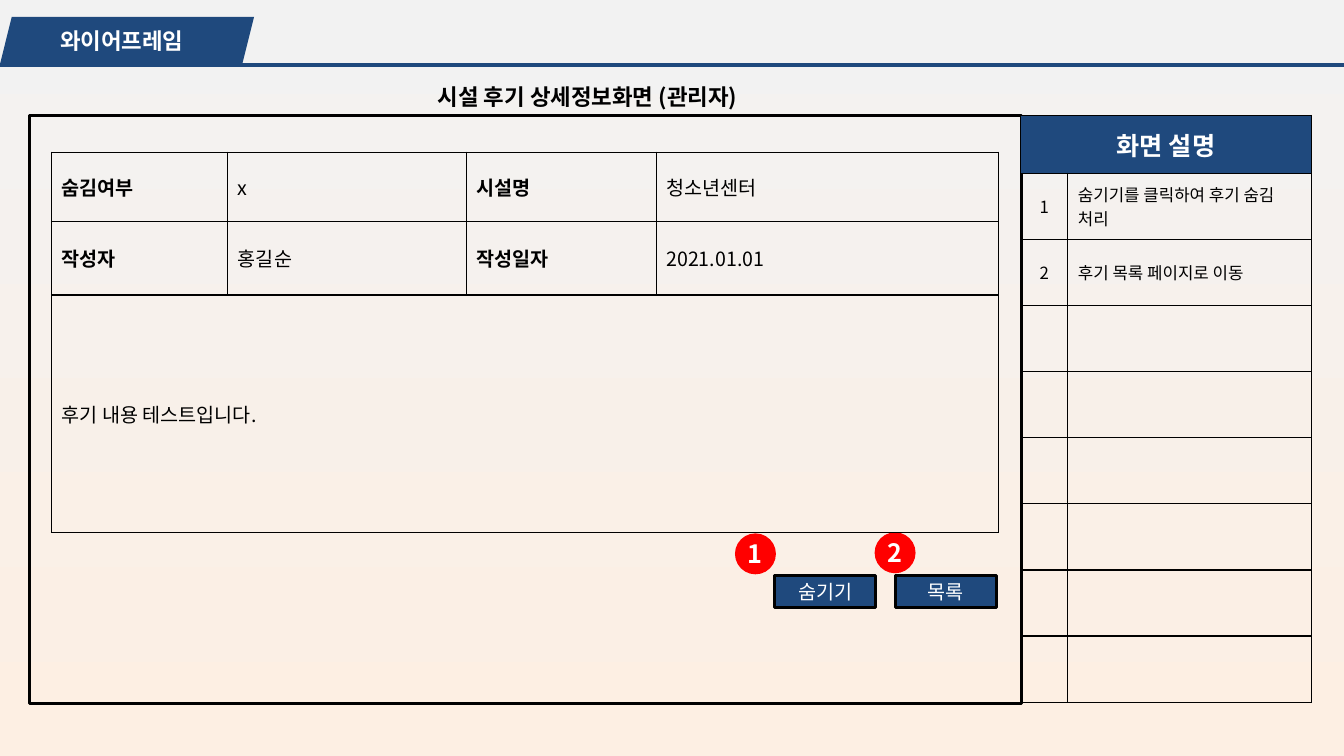
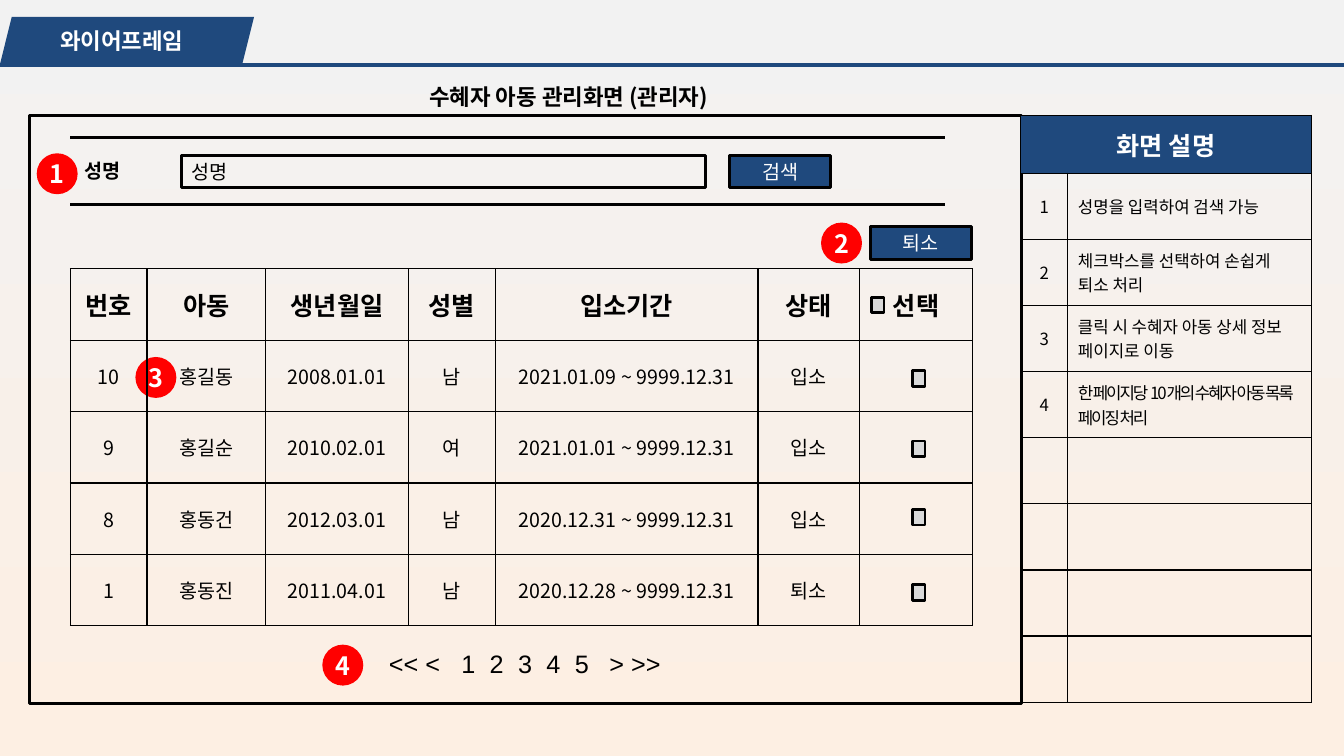
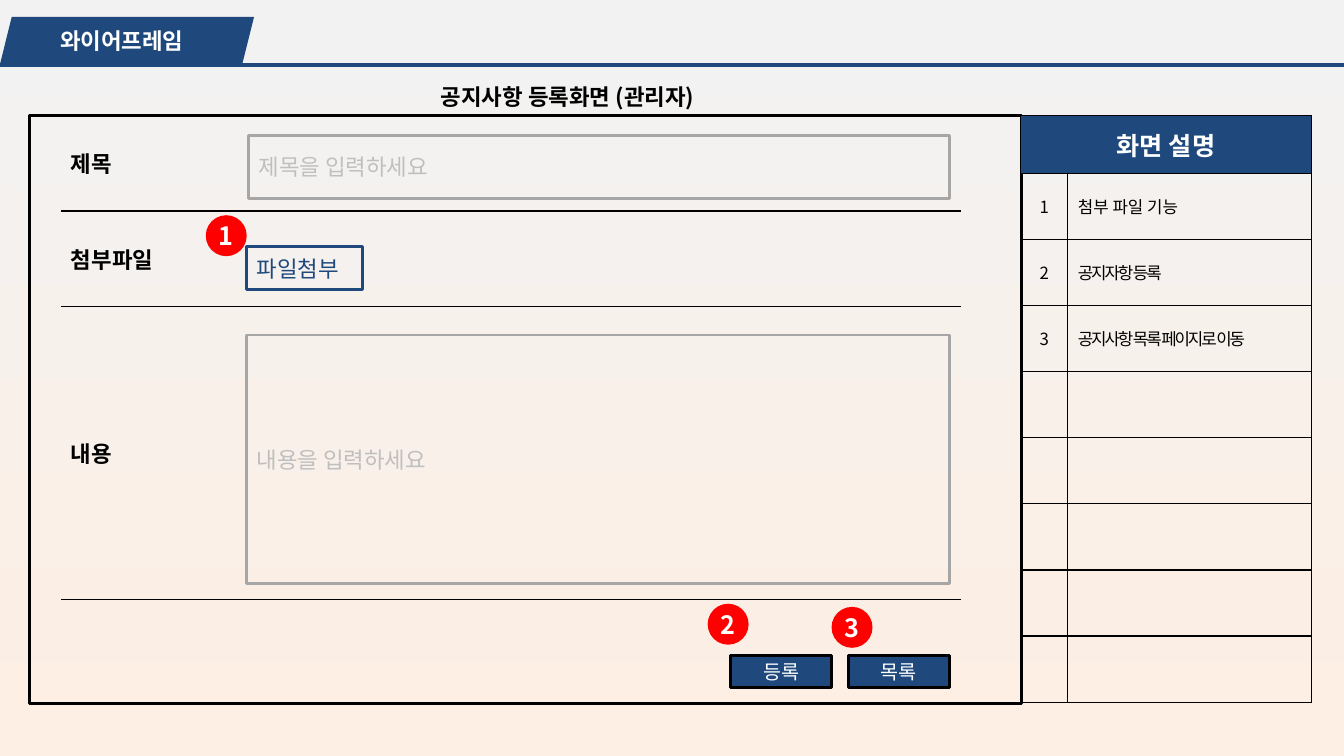
import pptx
import pptx.dml.color
import pptx.enum.shapes
import pptx.enum.text
import pptx.oxml
import pptx.oxml.ns
import pptx.util

SCALE = 9525  # EMU per px, 1280 x 720 px
FONT = "Noto Sans CJK KR"
COLORS = {
    "navy": "1F497D", "black": "000000", "white": "FFFFFF", "red": "FF0000",
    "border": "A6A6A6", "hint": "BFBFBF", "checkbox": "D9D9D9",
    "sky": "F2F2F2", "peach": "FDEFE3",
}
SHAPE = pptx.enum.shapes.MSO_SHAPE
ALIGN = pptx.enum.text.PP_ALIGN
MIDDLE = pptx.enum.text.MSO_ANCHOR.MIDDLE
qn = pptx.oxml.ns.qn


def px(length):
    return pptx.util.Emu(length * SCALE)


def rgb(name):
    return pptx.dml.color.RGBColor.from_string(COLORS[name])


def element(parent, tag, **attributes):
    child = parent.makeelement(qn(tag), attributes)
    parent.append(child)
    return child


class Wireframe:
    """Deck style plus the slide being drawn."""

    def __init__(self):
        self.deck = pptx.Presentation()
        self.deck.slide_width, self.deck.slide_height = px(1280), px(720)
        self.slide = None
        backdrop = self.deck.slide_master.background.fill
        backdrop.gradient()
        backdrop.gradient_angle = 270
        for stop, name in zip(backdrop.gradient_stops, ("sky", "peach")):
            stop.color.rgb = rgb(name)

    def set_text(self, frame, text, size=14, color="black", bold=False,
                 align=ALIGN.LEFT, font=FONT, tight=False, tabs=()):
        paragraph = frame.paragraphs[0]
        paragraph.text = text
        paragraph.alignment = align
        if tabs:
            stops = element(paragraph._p.get_or_add_pPr(), "a:tabLst")
            for position in tabs:
                element(stops, "a:tab", pos=str(px(position)), algn="l")
        for run in paragraph.runs:
            run.font.size = pptx.util.Pt(size)
            run.font.bold = bold
            run.font.name = font
            run.font.color.rgb = rgb(color)
            properties = run._r.get_or_add_rPr()
            element(properties, "a:ea", typeface=FONT)
            if tight:
                properties.set("spc", "-150")

    def shape(self, kind, x, y, width, height, fill=None, line=None,
              text="", **style):
        shape = self.slide.shapes.add_shape(
            kind, px(x), px(y), px(width), px(height))
        shape.shadow.inherit = False
        if fill:
            shape.fill.solid()
            shape.fill.fore_color.rgb = rgb(fill)
        else:
            shape.fill.background()
        if line:
            shape.line.color.rgb = rgb(line)
            shape.line.width = pptx.util.Pt(2)
        else:
            shape.line.fill.background()
        if text:
            shape.text_frame.word_wrap = False
            shape.text_frame.vertical_anchor = MIDDLE
            self.set_text(shape.text_frame, text, **style)

    def text(self, x, y, width, height, text, **style):
        frame = self.slide.shapes.add_textbox(
            px(x), px(y), px(width), px(height)).text_frame
        frame.word_wrap = True
        frame.vertical_anchor = MIDDLE
        self.set_text(frame, text, **style)

    def rule(self, x1, x2, y, width, color="black"):
        rule = self.slide.shapes.add_connector(
            pptx.enum.shapes.MSO_CONNECTOR.STRAIGHT,
            px(x1), px(y), px(x2), px(y))
        rule.line.color.rgb = rgb(color)
        rule.line.width = pptx.util.Pt(width)
        element(rule._element.spPr, "a:effectLst")

    def borders(self, cell, sides):
        properties = cell._tc.get_or_add_tcPr()
        for index, side in enumerate("LRTB"):
            line = properties.makeelement(qn("a:ln" + side), {"w": "12700"})
            properties.insert(index, line)
            if side in sides:
                fill = element(line, "a:solidFill")
                element(fill, "a:srgbClr", val=COLORS["black"])
            else:
                element(line, "a:noFill")

    def table(self, x, y, widths, heights, rows, style, sides="LRTB"):
        """style(row, column) gives the text style of a cell."""
        table = self.slide.shapes.add_table(
            len(heights), len(widths), px(x), px(y),
            px(sum(widths)), px(sum(heights))).table
        table.first_row = table.horz_banding = False
        for column, width in zip(table.columns, widths):
            column.width = px(width)
        for r, height in enumerate(heights):
            table.rows[r].height = px(height)
            texts = rows[r] if r < len(rows) else ()
            for c in range(len(widths)):
                cell = table.cell(r, c)
                cell.vertical_anchor = MIDDLE
                cell.fill.background()
                self.borders(cell, sides)
                if c < len(texts) and texts[c]:
                    self.set_text(cell.text_frame, texts[c], **style(r, c))
        return table

    def badge(self, number, x, y):
        self.shape(SHAPE.OVAL, x, y, 39, 39, "red", None, str(number),
                   size=18, color="white", bold=True, align=ALIGN.CENTER)

    def button(self, text, x, y):
        self.shape(SHAPE.RECTANGLE, x, y, 96, 31, "navy", "black", text,
                   color="white", align=ALIGN.CENTER)

    def field(self, text, x, y, width, height, line="border", color="hint",
              size=16):
        self.shape(SHAPE.RECTANGLE, x, y, width, height, None, line, text,
                   color=color, size=size)

    def checkbox(self, x, y):
        self.shape(SHAPE.RECTANGLE, x, y, 12, 15, "checkbox", "black")

    def legend(self, notes, tight_notes):
        def style(row, column):
            if row == 0:
                return dict(size=18, color="white", bold=True,
                            align=ALIGN.CENTER)
            if column == 0:
                return dict(size=12, align=ALIGN.CENTER)
            return dict(size=12, tight=row in tight_notes)

        rows = [("화면 설명",)]
        rows += [(str(n), note) for n, note in enumerate(notes, 1)]
        legend = self.table(972, 110, [45, 232], [55] + [63] * 8, rows, style)
        heading = legend.cell(0, 0)
        heading.merge(legend.cell(0, 1))
        heading.fill.solid()
        heading.fill.fore_color.rgb = rgb("navy")

    def screen(self, title, title_width, notes, tight_notes=()):
        """Start a slide with header, title, screen frame and legend."""
        self.slide = self.deck.slides.add_slide(self.deck.slide_layouts[5])
        # Header band
        self.shape(SHAPE.PARALLELOGRAM, 0, 16, 242, 45, "navy")
        self.text(-2, 12, 236, 53, "와이어프레임", size=16, color="white",
                  bold=True, align=ALIGN.CENTER)
        self.rule(0, 1280, 62, 3, "navy")
        # Title
        heading = self.slide.shapes.title
        heading.left, heading.top = px(388), px(65)
        heading.width, heading.height = px(title_width), px(53)
        heading.text_frame.auto_size = pptx.enum.text.MSO_AUTO_SIZE.NONE
        heading.text_frame.word_wrap = False
        heading.text_frame.vertical_anchor = MIDDLE
        self.set_text(heading.text_frame, title, size=16, bold=True,
                      align=ALIGN.CENTER)
        # Screen frame and legend
        self.shape(SHAPE.RECTANGLE, 28, 110, 945, 560, None, "black")
        self.legend(notes, tight_notes)


def review_detail(page):
    page.screen("시설 후기 상세정보화면 (관리자)", 343,
                ["숨기기를 클릭하여 후기 숨김 처리", "후기 목록 페이지로 이동"])
    page.badge(2, 833, 507)
    page.badge(1, 700, 508)
    review = page.table(
        49, 145, [168, 227, 181, 326], [66, 70, 226],
        [("숨김여부", "x", "시설명", "청소년센터"),
         ("작성자", "홍길순", "작성일자", "2021.01.01"),
         ("후기 내용 테스트입니다.",)],
        lambda row, column: dict(bold=row < 2 and column % 2 == 0))
    review.cell(2, 0).merge(review.cell(2, 3))
    page.button("숨기기", 738, 548)
    page.button("목록", 853, 548)


def child_list(page):
    page.screen("수혜자 아동 관리화면 (관리자)", 307,
                ["성명을 입력하여 검색 가능",
                 "체크박스를 선택하여 손쉽게 퇴소 처리",
                 "클릭 시 수혜자 아동 상세 정보 페이지로 이동",
                 "한 페이지당 10개의 수혜자 아동 목록 페이징 처리"], {4})
    for number, x, y in ((2, 782, 212), (3, 129, 340), (4, 307, 614),
                         (1, 35, 146)):
        page.badge(number, x, y)
    # Children
    page.table(
        67, 256, [73, 113, 136, 83, 250, 97, 107], [68] * 5,
        [("번호", "아동", "생년월일", "성별", "입소기간", "상태", "선택"),
         ("10", "홍길동", "2008.01.01", "남", "2021.01.09 ~ 9999.12.31", "입소"),
         ("9", "홍길순", "2010.02.01", "여", "2021.01.01 ~ 9999.12.31", "입소"),
         ("8", "홍동건", "2012.03.01", "남", "2020.12.31 ~ 9999.12.31", "입소"),
         ("1", "홍동진", "2011.04.01", "남", "2020.12.28 ~ 9999.12.31", "퇴소")],
        lambda row, column: dict(size=14 if row else 18, bold=row == 0,
                                 align=ALIGN.CENTER))
    page.checkbox(830, 283)
    for y in (353, 420, 485, 557):
        page.checkbox(869, y)
    page.button("퇴소", 829, 216)
    # Search bar
    page.field("성명", 173, 148, 499, 31, "black", "black", 14)
    page.button("검색", 695, 148)
    page.text(71, 143, 151, 39, "성명", bold=True, font="Arial")
    for y in (131, 195):
        page.rule(67, 900, y, 2.25)
    # Pager
    page.text(361, 612, 289, 39, "<< <\t1\t2\t3\t4\t5\t> >>", size=18,
              font="Arial", tabs=[69 + 27 * i for i in range(5)] + [210])


def notice_form(page):
    page.screen("공지사항 등록화면 (관리자)", 305,
                ["첨부 파일 기능", "공지자항 등록", "공지사항 목록 페이지로 이동"],
                {2, 3})
    for number, x, y in ((1, 196, 205), (2, 674, 575), (3, 792, 578)):
        page.badge(number, x, y)
    # Form rows and their fields
    page.table(58, 110, [857], [91, 91, 279],
               [("제목",), ("첨부파일",), ("내용",)],
               lambda row, column: dict(size=16, bold=True), sides="TB")
    page.field("제목을 입력하세요", 237, 129, 667, 60)
    page.field("파일첨부", 235, 235, 110, 41, "navy", "navy")
    page.field("내용을 입력하세요", 235, 319, 669, 237)
    page.button("등록", 696, 624)
    page.button("목록", 808, 624)


def main():
    page = Wireframe()
    review_detail(page)
    child_list(page)
    notice_form(page)
    page.deck.save("out.pptx")


if __name__ == "__main__":
    main()
